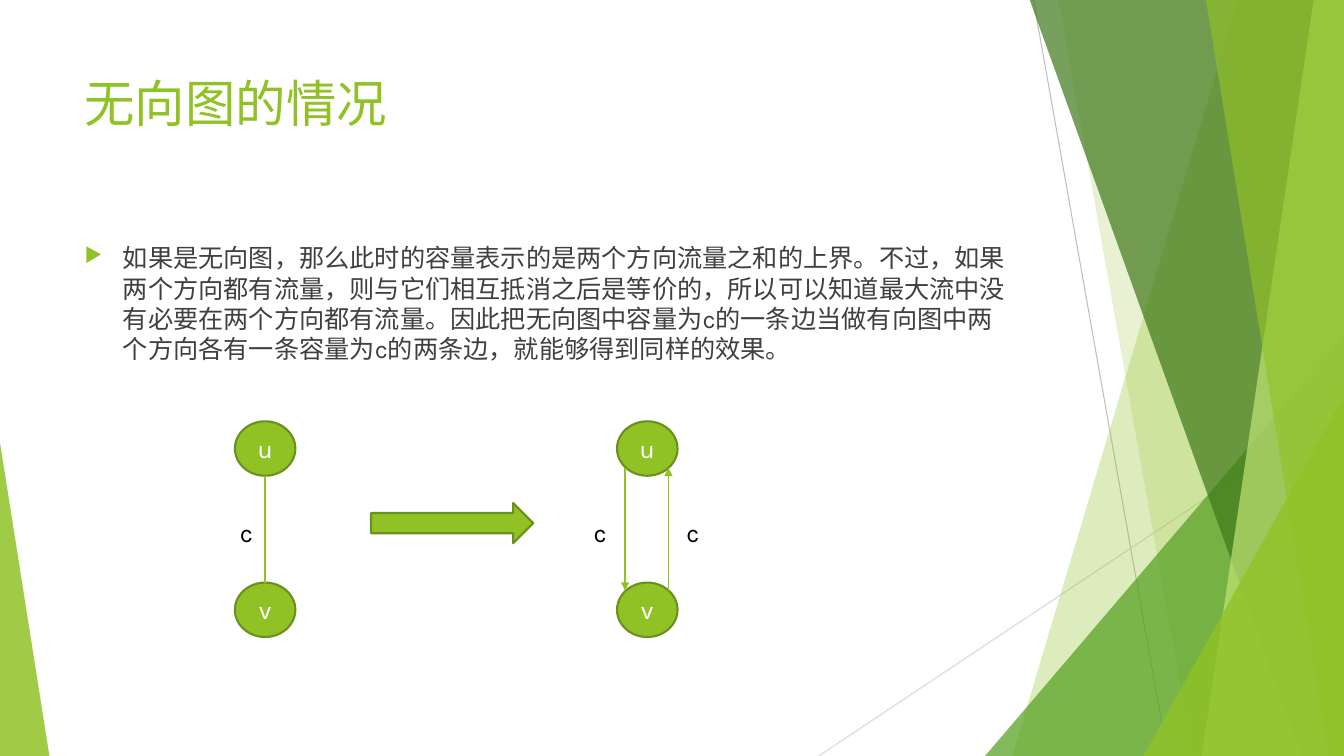
from dataclasses import dataclass

from lxml.etree import SubElement
from pptx import Presentation
from pptx.dml.color import RGBColor
from pptx.enum.shapes import MSO_CONNECTOR, MSO_SHAPE
from pptx.enum.text import MSO_ANCHOR, PP_ALIGN
from pptx.oxml.ns import qn
from pptx.util import Inches, Pt

WIDE, HIGH, TOP = 13.33, 7.5, -0.01
FONT = "Karla"
GREEN = RGBColor(0x90, 0xC2, 0x26)
EDGE = RGBColor(0x6B, 0x90, 0x1C)
LEAF = RGBColor(0x54, 0xA0, 0x21)
DARK = RGBColor(0x3F, 0x78, 0x19)
LIGHT = RGBColor(0xC0, 0xE4, 0x74)
GRAY = RGBColor(0xBF, 0xBF, 0xBF)
PALE = RGBColor(0xD9, 0xD9, 0xD9)
INK = RGBColor(0x40, 0x40, 0x40)
BLACK = RGBColor(0, 0, 0)
WHITE = RGBColor(0xFF, 0xFF, 0xFF)


@dataclass
class Band:
    """Panel from the right slide edge to a slanted left side."""
    top: float
    foot: float
    color: RGBColor
    alpha: int


@dataclass
class Wedge:
    """Right triangle standing on the slide's bottom edge."""
    left: float
    top: float
    width: float
    tip: float
    color: RGBColor
    alpha: int


@dataclass
class Line:
    x1: float
    y1: float
    x2: float
    y2: float
    color: RGBColor = GREEN
    width: float = 1
    arrow: bool = False


@dataclass
class Node:
    text: str
    left: float
    top: float


@dataclass
class Label:
    text: str
    left: float
    top: float
    width: float
    height: float
    size: float
    color: RGBColor


BACK = [
    Line(10.25, 0, 11.58, HIGH, GRAY, 0.75),
    Line(WIDE, 4.03, 8.12, HIGH, PALE, 0.75),
    Band(12.28, 10.04, GREEN, 30),
    Band(10.5, 11.83, GREEN, 20),
    Wedge(9.77, 3.33, 3.56, 1, LEAF, 72),
    Band(10.21, 12.91, DARK, 70),
    Band(13.03, 11.92, LIGHT, 70),
    Band(11.96, 13.18, GREEN, 65),
    Wedge(11.34, 3.93, 1.99, 1, GREEN, 80),
    Wedge(0, 4.39, 0.49, 0, GREEN, 85),
]
NODES = [Node(name, left, top) for left in (2.33, 6.12)
         for name, top in (("u", 4.18), ("v", 5.78))]
EDGES = [
    Line(2.63, 4.72, 2.63, 5.78),
    Line(6.2, 4.64, 6.2, 5.86, arrow=True),
    Line(6.63, 5.86, 6.63, 4.64, arrow=True),
]
TITLE = Label("无向图的情况", 0.74, 0.67, 9.4, 1.44, 36, GREEN)
BODY = Label(
    "如果是无向图，那么此时的容量表示的是两个方向流量之和的上界。不过，如果"
    "两个方向都有流量，则与它们相互抵消之后是等价的，所以可以知道最大流中没"
    "有必要在两个方向都有流量。因此把无向图中容量为c的一条边当做有向图中两"
    "个方向各有一条容量为c的两条边，就能够得到同样的效果。",
    0.74, 2.36, 9.4, 4.24, 18, INK)
COSTS = [Label("c", left, 5.08, width, 0.4, 18, BLACK)
         for left, width in ((2.28, 0.25), (5.79, 0.32), (6.71, 0.33))]


def paint(shape, color: RGBColor, alpha: int = 100, edged: bool = False) -> None:
    shape.shadow.inherit = False
    shape.fill.solid()
    shape.fill.fore_color.rgb = color
    if alpha < 100:
        tint = shape.fill._xPr.find(qn("a:solidFill"))[0]
        SubElement(tint, qn("a:alpha"), val=str(alpha * 1000))
    if edged:
        shape.line.color.rgb = EDGE
        shape.line.width = Pt(1.5)
    else:
        shape.line.fill.background()


def write(para, text: str, size: float, color: RGBColor) -> None:
    run = para.add_run()
    run.text = text
    font = run.font
    font.name, font.size = FONT, Pt(size)
    font.color.rgb = color
    SubElement(run._r.get_or_add_rPr(), qn("a:ea"), typeface=FONT)


def draw_band(shapes, band: Band) -> None:
    form = shapes.build_freeform(Inches(band.top), Inches(TOP))
    rest = [(WIDE, TOP), (WIDE, HIGH), (band.foot, HIGH)]
    form.add_line_segments([(Inches(x), Inches(y)) for x, y in rest], close=True)
    paint(form.convert_to_shape(), band.color, band.alpha)


def draw_wedge(shapes, wedge: Wedge) -> None:
    shape = shapes.add_shape(
        MSO_SHAPE.ISOSCELES_TRIANGLE, Inches(wedge.left), Inches(wedge.top),
        Inches(wedge.width), Inches(HIGH - wedge.top))
    shape.adjustments[0] = wedge.tip
    paint(shape, wedge.color, wedge.alpha)


def draw_line(shapes, line: Line) -> None:
    link = shapes.add_connector(
        MSO_CONNECTOR.STRAIGHT, Inches(line.x1), Inches(line.y1),
        Inches(line.x2), Inches(line.y2))
    link.line.color.rgb = line.color
    link.line.width = Pt(line.width)
    if line.arrow:
        SubElement(link.line._get_or_add_ln(), qn("a:tailEnd"), type="triangle")
    SubElement(link._element.spPr, qn("a:effectLst"))


def draw_node(shapes, node: Node) -> None:
    shape = shapes.add_shape(MSO_SHAPE.OVAL, Inches(node.left), Inches(node.top),
                             Inches(0.6), Inches(0.54))
    paint(shape, GREEN, edged=True)
    frame = shape.text_frame
    frame.vertical_anchor = MSO_ANCHOR.MIDDLE
    para = frame.paragraphs[0]
    para.alignment = PP_ALIGN.CENTER
    write(para, node.text, 18, WHITE)


def draw_label(shapes, label: Label, bullet: bool = False) -> None:
    box = shapes.add_textbox(Inches(label.left), Inches(label.top),
                             Inches(label.width), Inches(label.height))
    box.text_frame.word_wrap = True
    para = box.text_frame.paragraphs[0]
    if bullet:
        props = para._p.get_or_add_pPr()
        props.set("marL", str(Inches(0.38)))
        props.set("indent", str(Inches(-0.38)))
        tint = SubElement(props, qn("a:buClr"))
        SubElement(tint, qn("a:srgbClr"), val=str(GREEN))
        SubElement(props, qn("a:buSzPct"), val="80000")
        SubElement(props, qn("a:buChar"), char="▶")
    write(para, label.text, label.size, label.color)


def main() -> None:
    deck = Presentation()
    deck.slide_width, deck.slide_height = Inches(WIDE), Inches(HIGH)
    shapes = deck.slides.add_slide(deck.slide_layouts[6]).shapes

    # Backdrop
    draw = {Line: draw_line, Band: draw_band, Wedge: draw_wedge}
    for part in BACK:
        draw[type(part)](shapes, part)

    # Title and body
    draw_label(shapes, TITLE)
    draw_label(shapes, BODY, bullet=True)

    # Graphs
    for node in NODES:
        draw_node(shapes, node)
    for edge in EDGES:
        draw_line(shapes, edge)
    for cost in COSTS:
        draw_label(shapes, cost)

    # Arrow between the graphs
    arrow = shapes.add_shape(MSO_SHAPE.RIGHT_ARROW, Inches(3.68), Inches(4.99),
                             Inches(1.61), Inches(0.4))
    paint(arrow, GREEN, edged=True)

    deck.save("out.pptx")


if __name__ == "__main__":
    main()
